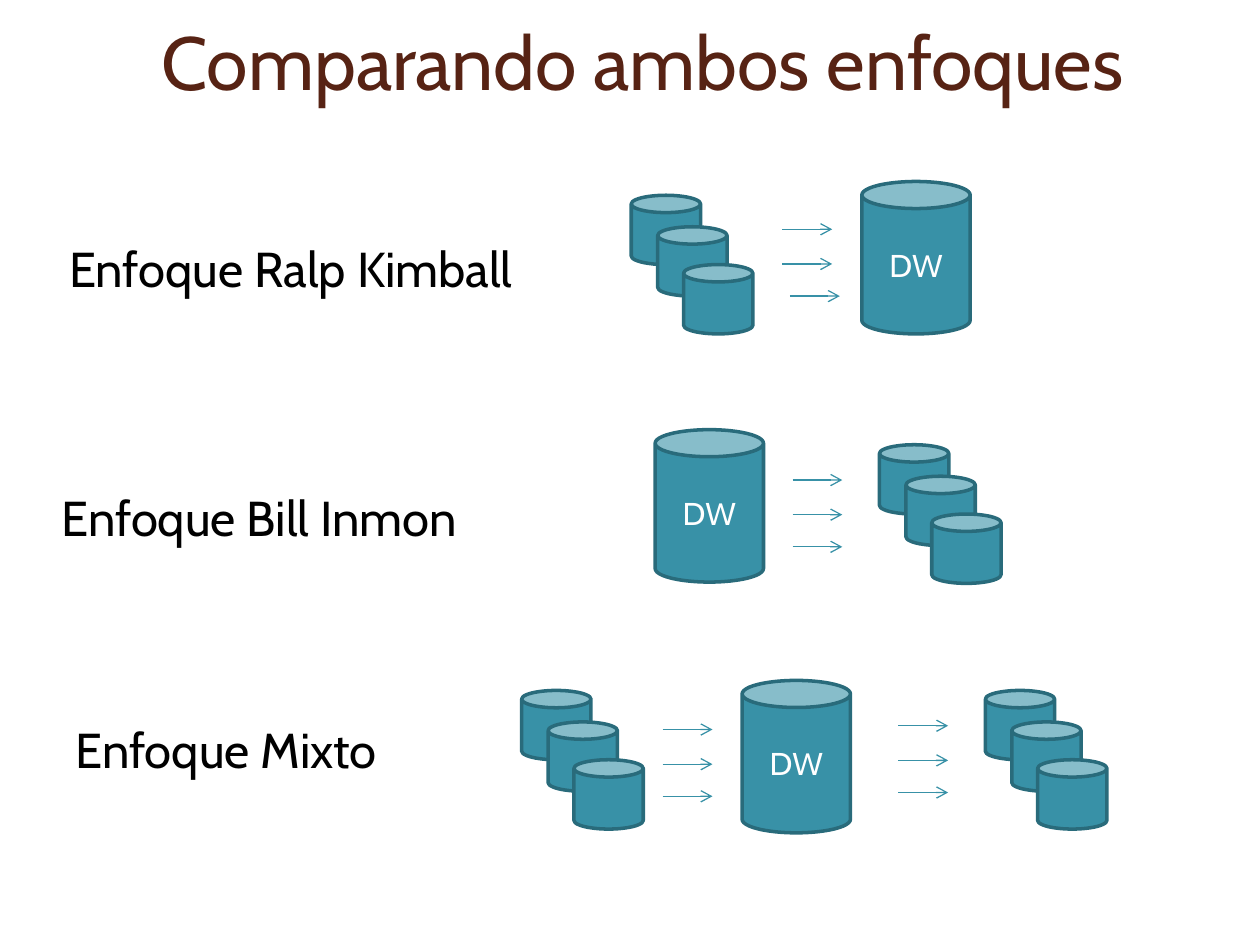
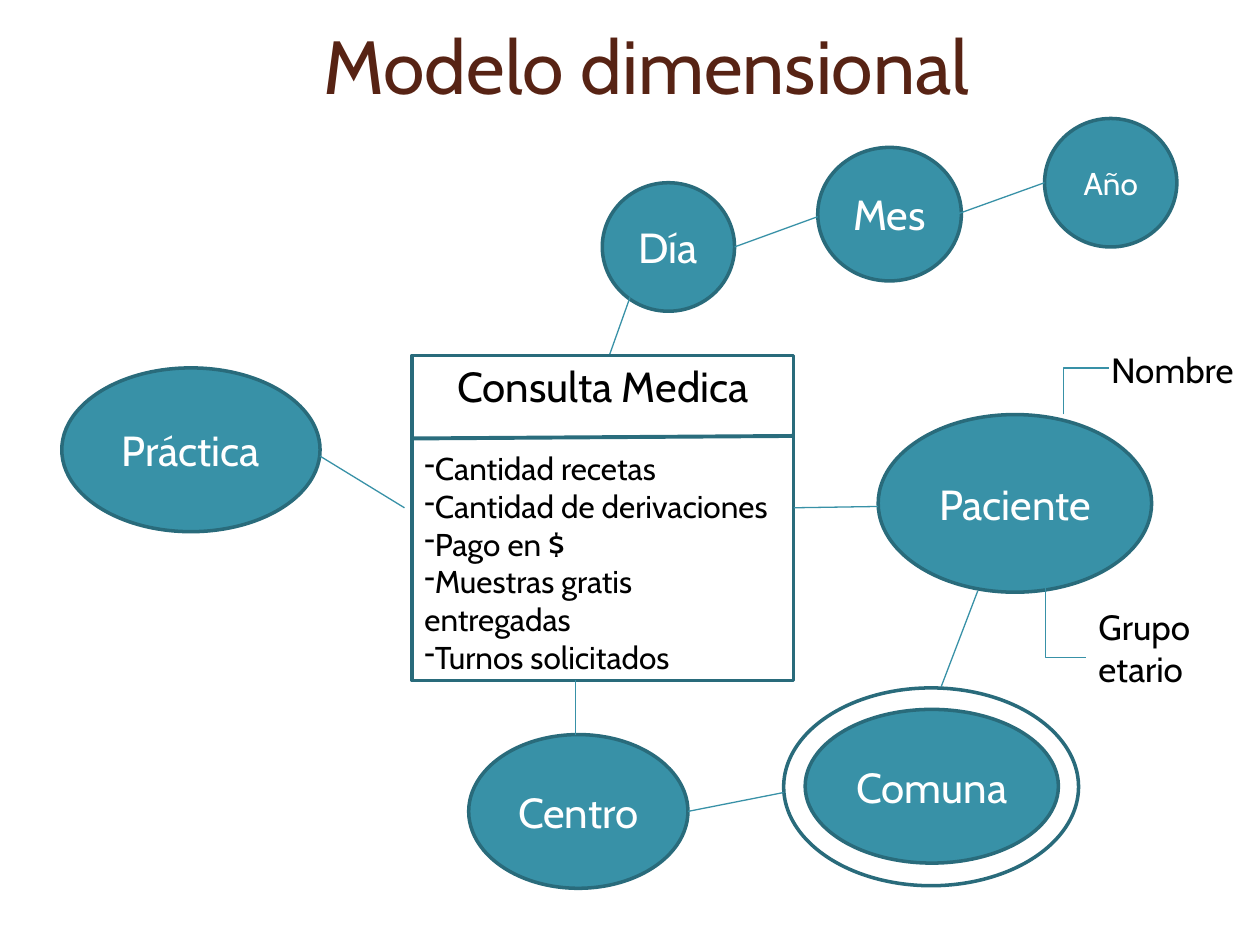
from dataclasses import dataclass

from lxml.etree import SubElement
from pptx import Presentation
from pptx.dml.color import RGBColor
from pptx.enum.shapes import MSO_CONNECTOR, MSO_SHAPE
from pptx.enum.text import MSO_ANCHOR, MSO_AUTO_SIZE, PP_ALIGN
from pptx.oxml.ns import qn
from pptx.shapes.autoshape import Shape
from pptx.shapes.connector import Connector
from pptx.slide import Slide
from pptx.text.text import _Paragraph as Paragraph
from pptx.util import Inches, Pt

# Shared look
FONT = "Cabin"
BROWN = RGBColor(0x57, 0x23, 0x14)
TEAL = RGBColor(0x38, 0x91, 0xA7)
DARK_TEAL = RGBColor(0x29, 0x6B, 0x7B)
DIVIDER_TEAL = RGBColor(0x2A, 0x6D, 0x7D)
WHITE = RGBColor(0xFF, 0xFF, 0xFF)
BLACK = RGBColor(0x00, 0x00, 0x00)

# Grid of 100 columns by 75 square cells
SLIDE_WIDTH, SLIDE_HEIGHT = Inches(10), Inches(7.5)
CELL = SLIDE_WIDTH / 100

Point = tuple[float, float]


@dataclass(frozen=True)
class Box:
    """A rectangle in grid cells."""
    left: float
    top: float
    width: float
    height: float

    def lengths(self) -> list[int]:
        return cells(self.left, self.top, self.width, self.height)


@dataclass(frozen=True)
class Label:
    text: str
    box: Box


@dataclass(frozen=True)
class ArrowSet:
    left: float
    top: float
    last_shift: float = 0


@dataclass(frozen=True)
class Approach:
    """One row: its label, data marts, warehouse and arrows."""
    label: Label
    warehouse: Point
    marts: list[Point]
    arrows: list[ArrowSet]


@dataclass(frozen=True)
class Dimension:
    name: str
    box: Box
    size: int = 24


def cells(*values: float) -> list[int]:
    return [round(value * CELL) for value in values]


def format_paragraph(paragraph: Paragraph, size: float, color: RGBColor,
                     alignment: PP_ALIGN = PP_ALIGN.LEFT) -> None:
    paragraph.alignment = alignment
    paragraph.font.name = FONT
    paragraph.font.size = Pt(size)
    paragraph.font.color.rgb = color


def add_titled_slide(presentation: Presentation, title: str, box: Box) -> Slide:
    slide = presentation.slides.add_slide(presentation.slide_layouts[5])
    shape = slide.shapes.title
    shape.left, shape.top, shape.width, shape.height = box.lengths()
    frame = shape.text_frame
    frame.text = title
    frame.auto_size = MSO_AUTO_SIZE.NONE
    frame.vertical_anchor = MSO_ANCHOR.MIDDLE
    format_paragraph(frame.paragraphs[0], 43, BROWN, PP_ALIGN.CENTER)
    return slide


def add_label(slide: Slide, label: Label, size: float) -> None:
    frame = slide.shapes.add_textbox(*label.box.lengths()).text_frame
    frame.word_wrap = True
    frame.text = label.text
    format_paragraph(frame.paragraphs[0], size, BLACK)


def add_figure(slide: Slide, kind: MSO_SHAPE, box: Box, text: str = "", size: float = 18,
               fill: RGBColor = TEAL, text_color: RGBColor = WHITE) -> Shape:
    shape = slide.shapes.add_shape(kind, *box.lengths())
    shape.shadow.inherit = False
    shape.fill.solid()
    shape.fill.fore_color.rgb = fill
    shape.line.color.rgb = DARK_TEAL
    shape.line.width = Pt(2)
    if text:
        frame = shape.text_frame
        frame.text = text
        frame.vertical_anchor = MSO_ANCHOR.MIDDLE
        format_paragraph(frame.paragraphs[0], size, text_color, PP_ALIGN.CENTER)
    return shape


def add_line(slide: Slide, start: Point, end: Point, color: RGBColor = TEAL,
             width: float = 0.75, kind: MSO_CONNECTOR = MSO_CONNECTOR.STRAIGHT) -> Connector:
    connector = slide.shapes.add_connector(kind, *cells(*start, *end))
    connector.line.color.rgb = color
    connector.line.width = Pt(width)
    SubElement(connector._element.spPr, qn("a:effectLst"))
    return connector


def add_arrow(slide: Slide, start: Point, end: Point) -> None:
    connector = add_line(slide, start, end)
    SubElement(connector._element.spPr.find(qn("a:ln")), qn("a:tailEnd"), type="arrow")


def add_elbow(slide: Slide, start: Point, end: Point) -> None:
    """Draw an elbow that turns vertical right at its start."""
    connector = add_line(slide, start, end, kind=MSO_CONNECTOR.ELBOW)
    geometry = connector._element.spPr.find(qn("a:prstGeom"))
    adjustments = geometry.find(qn("a:avLst"))
    if adjustments is None:
        adjustments = SubElement(geometry, qn("a:avLst"))
    SubElement(adjustments, qn("a:gd"), name="adj1", fmla="val 0")


# Slide 1: three ways to feed a warehouse
MART_SIDE = 5.5
MART_STEPS = [(0, 0), (2.1, 2.5), (4.15, 5.5)]
ARROW_LENGTH = 3.95
ARROW_ROWS = [0, 2.75, 5.3]
APPROACHES = [
    Approach(Label("Enfoque Ralp Kimball", Box(4.5, 18.4, 37.5, 7)),
             (68.4, 14.4), [(50.1, 15.5)], [ArrowSet(62.1, 18.2, last_shift=0.6)]),
    Approach(Label("Enfoque Bill Inmon", Box(3.9, 38.2, 33.4, 6.9)),
             (52, 34.1), [(69.8, 35.3)], [ArrowSet(62.9, 38.1)]),
    Approach(Label("Enfoque Mixto", Box(5, 56.6, 36.5, 7)),
             (58.9, 54), [(41.4, 54.8), (78.2, 54.8)],
             [ArrowSet(52.6, 57.9), ArrowSet(71.3, 57.6)]),
]


def add_approach(slide: Slide, approach: Approach) -> None:
    add_label(slide, approach.label, 28)
    add_figure(slide, MSO_SHAPE.CAN, Box(*approach.warehouse, 8.6, 12.1), "DW")
    for left, top in approach.marts:
        for across, down in MART_STEPS:
            add_figure(slide, MSO_SHAPE.CAN,
                       Box(left + across, top + down, MART_SIDE, MART_SIDE))
    for arrows in approach.arrows:
        for row in ARROW_ROWS:
            left = arrows.left + (arrows.last_shift if row == ARROW_ROWS[-1] else 0)
            top = arrows.top + row
            add_arrow(slide, (left, top), (left + ARROW_LENGTH, top))


def build_approaches(presentation: Presentation) -> None:
    slide = add_titled_slide(presentation, "Comparando ambos enfoques",
                             Box(7.2, 0.1, 87.6, 9.4))
    for approach in APPROACHES:
        add_approach(slide, approach)


# Slide 2: fact table and its dimensions
FACT_BOX = Box(32.7, 28.2, 30.3, 25.8)
MEASURES = ["Cantidad recetas", "Cantidad de derivaciones", "Pago en $",
            "Muestras gratis entregadas", "Turnos solicitados"]
DIMENSIONS = [
    Dimension("Práctica", Box(4.9, 29.2, 20.5, 13)),
    Dimension("Centro", Box(37.2, 58.3, 17.4, 12.2)),
    Dimension("Comuna", Box(63.9, 56.3, 20.1, 12.2)),
    Dimension("Paciente", Box(69.7, 32.9, 21.7, 14.1)),
    Dimension("Día", Box(47.8, 14.5, 10.5, 10.2)),
    Dimension("Mes", Box(64.9, 11.7, 11.4, 10.6)),
    Dimension("Año", Box(82.9, 9.4, 10.5, 10.2), size=18),
]
LINKS = [
    ((32.1, 40.3), (25.4, 36.2)),  # Práctica
    ((45.7, 54), (45.7, 58.3)),    # Centro
    ((54.6, 64.4), (62.2, 62.9)),  # Centro - Comuna
    ((69.7, 40.2), (63, 40.3)),    # Paciente
    ((77.6, 46.9), (74.7, 54.5)),  # Paciente - Comuna
    ((50, 23.6), (48.4, 28.1)),    # Día
    ((64.9, 17.2), (58.3, 19.6)),  # Día - Mes
    ((82.9, 14.5), (75.4, 17.2)),  # Mes - Año
]
ATTRIBUTES = [Label("Nombre", Box(87.2, 27.2, 12.4, 4.1)),
              Label("Grupo etario", Box(86.2, 47.6, 13.4, 7))]
ATTRIBUTE_LINKS = [((84.4, 32.9), (88, 29.2)), ((83, 46.5), (86.2, 52.2))]


def add_fact_table(slide: Slide) -> None:
    table = add_figure(slide, MSO_SHAPE.RECTANGLE, FACT_BOX, "Consulta Medica", 24,
                       WHITE, BLACK)
    for index, measure in enumerate(MEASURES):
        paragraph = table.text_frame.add_paragraph()
        paragraph.text = measure
        properties = paragraph._p.get_or_add_pPr()
        SubElement(properties, qn("a:buChar"), char="-")
        if index == 0:
            paragraph.space_before = Pt(22)
        format_paragraph(paragraph, 18, BLACK)
    add_line(slide, (FACT_BOX.left, 34.8), (FACT_BOX.left + FACT_BOX.width, 34.6),
             DIVIDER_TEAL, 2.25)


def build_dimensional_model(presentation: Presentation) -> None:
    slide = add_titled_slide(presentation, "Modelo dimensional", Box(10.3, 0, 82, 10.2))
    add_figure(slide, MSO_SHAPE.OVAL, Box(62.2, 54.6, 23.4, 15.7), fill=WHITE)
    add_fact_table(slide)
    for dimension in DIMENSIONS:
        add_figure(slide, MSO_SHAPE.OVAL, dimension.box, dimension.name, dimension.size)
    for start, end in LINKS:
        add_line(slide, start, end)
    for start, end in ATTRIBUTE_LINKS:
        add_elbow(slide, start, end)
    for attribute in ATTRIBUTES:
        add_label(slide, attribute, 20)


def main() -> None:
    presentation = Presentation()
    presentation.slide_width = SLIDE_WIDTH
    presentation.slide_height = SLIDE_HEIGHT
    build_approaches(presentation)
    build_dimensional_model(presentation)
    presentation.save("out.pptx")


if __name__ == "__main__":
    main()
